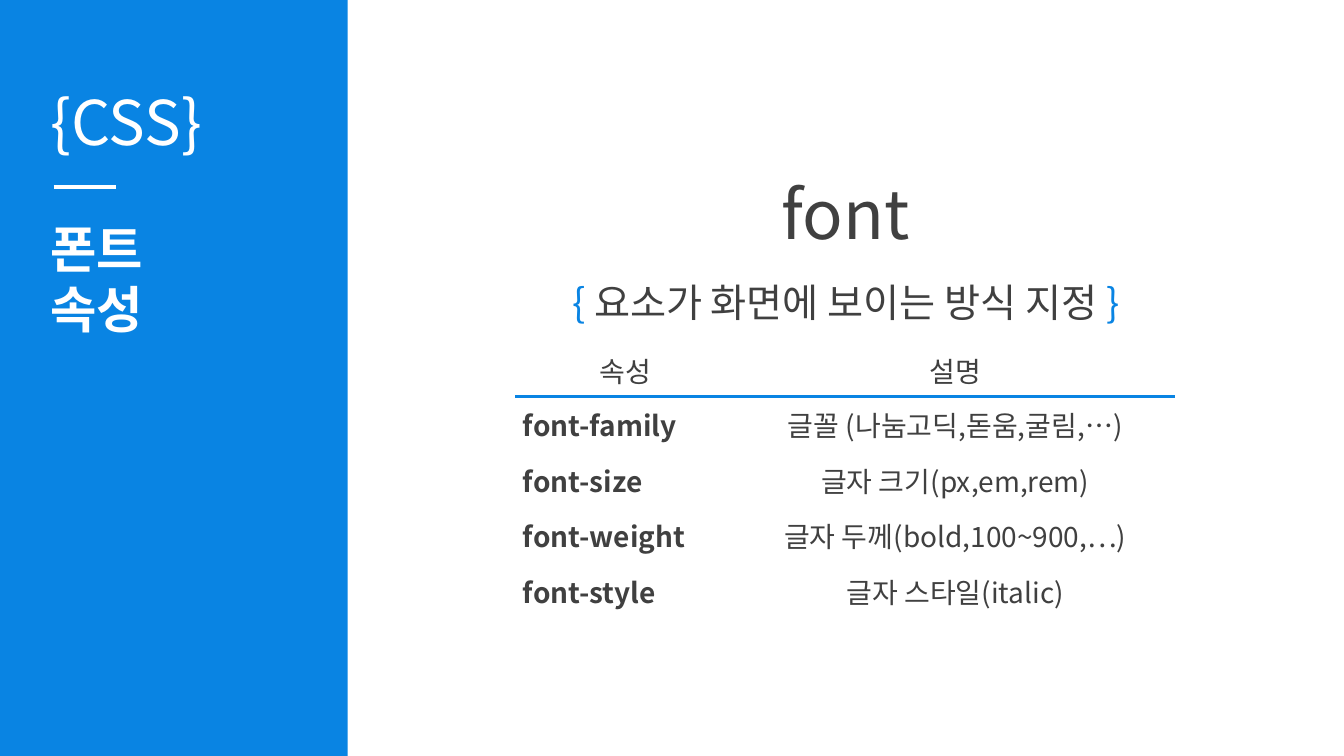
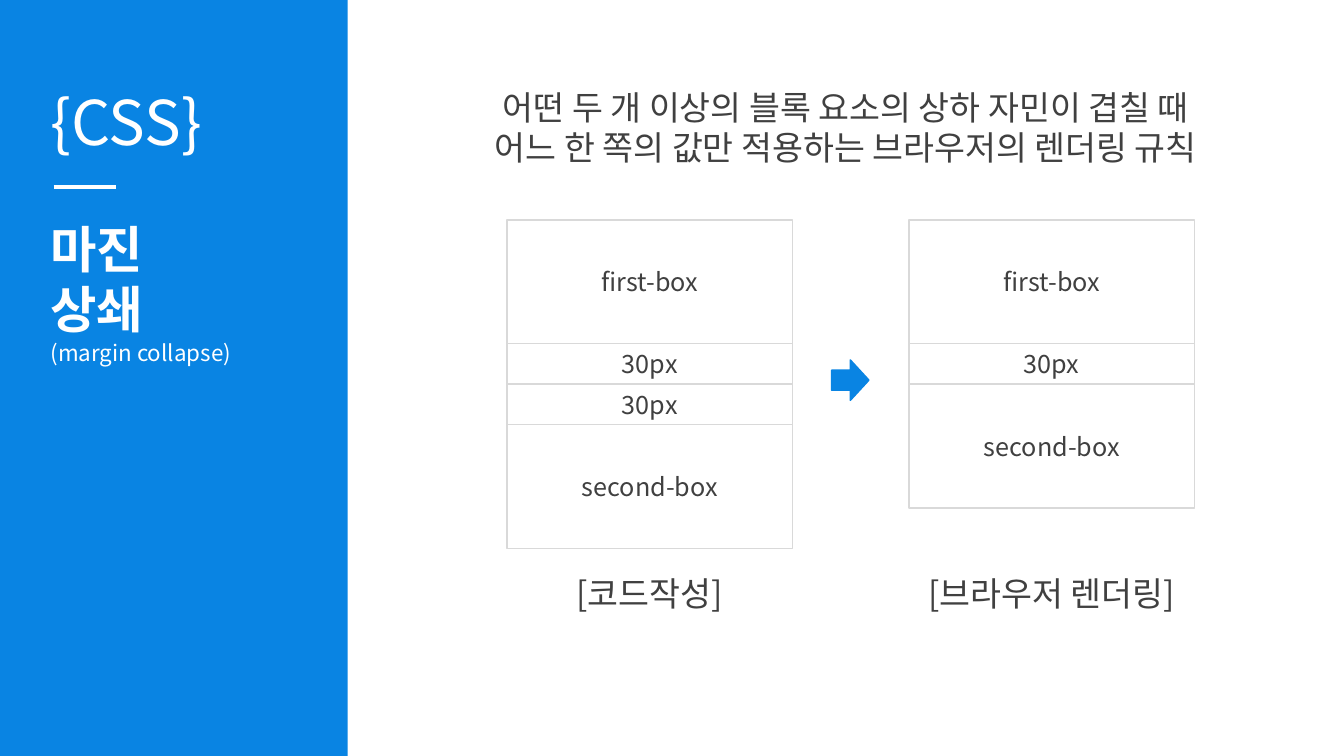
"""Build two CSS lesson slides on font properties and margin collapse."""
from lxml.etree import SubElement as Sub
from pptx import Presentation
from pptx.dml.color import RGBColor as Rgb
from pptx.enum.shapes import MSO_CONNECTOR as Link, MSO_SHAPE as Form
from pptx.enum.text import MSO_ANCHOR as Anchor, MSO_AUTO_SIZE as Auto, PP_ALIGN as Align
from pptx.oxml import parse_xml
from pptx.oxml.ns import nsdecls, qn
from pptx.util import Cm, Pt

HUES = {"blue": "0984E3", "white": "FFFFFF", "dark": "404040", "grey": "D9D9D9"}
FACE = "Noto Sans CJK KR"
WIDE, HIGH, BAND = 33.87, 19.05, 8.76
PLAIN = "{2D5ABB26-0587-4C30-8999-92F81FD0307C}"


def hue(name):
    return Rgb.from_string(HUES[name])


class Deck:
    def __init__(self):
        self.file = Presentation()
        self.file.slide_width, self.file.slide_height = Cm(WIDE), Cm(HIGH)
        self.slide = None

    def page(self, lines, note=None):
        self.slide = self.file.slides.add_slide(self.file.slide_layouts[5])
        self.block((0, 0, BAND, HIGH), fill="blue")
        self.rule(1.35, 2.92, 4.72)
        self.text((1.02, 1.98, 4.7, 2.13), ["{CSS}"], 44, "white", Align.LEFT)
        title = self.slide.shapes.title
        title.left, title.top, title.width, title.height = map(Cm, (1.02, 5.36, 7, 4.2))
        title.element.getparent().append(title.element)
        frame = title.text_frame
        self.fill(frame, lines + ([note] if note else []), 36, "white", Align.LEFT, True)
        frame.vertical_anchor = Anchor.TOP
        if note:
            font = frame.paragraphs[-1].font
            font.size, font.bold = Pt(16), False

    def style(self, par, size, tone, align, bold=False):
        par.alignment = align
        font = par.font
        font.size, font.name, font.bold = Pt(size), FACE, bold
        font.color.rgb = hue(tone)
        Sub(par._p.pPr.find(qn("a:defRPr")), qn("a:ea"), typeface=FACE)

    def fill(self, frame, lines, size, tone, align=Align.CENTER, bold=False):
        frame.word_wrap = True
        frame.auto_size = Auto.NONE
        for i, line in enumerate(lines):
            par = frame.add_paragraph() if i else frame.paragraphs[0]
            for part, tint in [(line, None)] if isinstance(line, str) else line:
                run = par.add_run()
                run.text = part
                if tint:
                    run.font.color.rgb = hue(tint)
            self.style(par, size, tone, align, bold)

    def text(self, area, lines, size, tone="dark", align=Align.CENTER):
        box = self.slide.shapes.add_textbox(*map(Cm, area))
        self.fill(box.text_frame, lines, size, tone, align)

    def block(self, area, form=Form.RECTANGLE, fill=None, line=None, label=None):
        shape = self.slide.shapes.add_shape(form, *map(Cm, area))
        shape.shadow.inherit = False
        if fill:
            shape.fill.solid()
            shape.fill.fore_color.rgb = hue(fill)
        else:
            shape.fill.background()
        if line:
            shape.line.color.rgb = hue(line)
            shape.line.width = Pt(1)
        else:
            shape.line.fill.background()
        if label:
            self.fill(shape.text_frame, [label], 18, "dark")
            shape.text_frame.vertical_anchor = Anchor.MIDDLE

    def rule(self, left, right, top):
        line = self.slide.shapes.add_connector(Link.STRAIGHT, Cm(left), Cm(top), Cm(right), Cm(top))
        line.line.color.rgb = hue("white")
        line.line.width = Pt(3)
        Sub(line.element.spPr, qn("a:effectLst"))

    def table(self, left, top, cols, rows, data):
        frame = self.slide.shapes.add_table(
            len(rows), len(cols), Cm(left), Cm(top), Cm(sum(cols)), Cm(sum(rows)))
        grid = frame.table
        grid.first_row = grid.horz_banding = False
        grid._tbl.tblPr.find(qn("a:tableStyleId")).text = PLAIN
        for col, size in zip(grid.columns, cols):
            col.width = Cm(size)
        for row, size in zip(grid.rows, rows):
            row.height = Cm(size)
        for r, line in enumerate(data):
            for c, word in enumerate(line):
                self.cell(grid.cell(r, c), word, r == 0, r > 0 and c == 0)

    def cell(self, cell, word, head, key):
        cell.fill.background()
        cell.vertical_anchor = Anchor.MIDDLE
        cell.margin_left = cell.margin_right = Cm(0.2)
        cell.margin_top = cell.margin_bottom = Cm(0.1)
        par = cell.text_frame.paragraphs[0]
        par.add_run().text = word
        self.style(par, 20, "dark", Align.LEFT if key else Align.CENTER, key)
        if head:
            cell._tc.tcPr.insert(0, parse_xml(
                f'<a:lnB {nsdecls("a")} w="{Pt(3)}"><a:solidFill>'
                f'<a:srgbClr val="{HUES["blue"]}"/></a:solidFill></a:lnB>'))

    def stack(self, left, top, labels, title):
        width, edge = 7.19, 0.3
        for label in labels:
            step = 1.02 if label.endswith("px") else 3.12
            self.block((left, top, width, step), line="grey", label=label)
            top += step
        self.text((left - edge, 14.3, width + 2 * edge, 1.27), [title], 24)


def main():
    deck = Deck()
    main_x, main_w = BAND, WIDE - BAND

    deck.page(["폰트", "속성"])
    deck.text((main_x, 4.22, main_w, 2.31), ["font"], 48)
    deck.text((main_x, 6.88, main_w, 1.45), [
        [("{ ", "blue"), ("요소가 화면에 보이는 방식 지정 ", "dark"), ("}", "blue")]], 28)
    deck.table(12.98, 8.69, [5.56, 11.07], [1.3] + [1.4] * 4, [
        ("속성", "설명"),
        ("font-family", "글꼴 (나눔고딕,돋움,굴림,…)"),
        ("font-size", "글자 크기(px,em,rem)"),
        ("font-weight", "글자 두께(bold,100~900,…)"),
        ("font-style", "글자 스타일(italic)"),
    ])

    deck.page(["마진", "상쇄"], "(margin collapse)")
    deck.text((main_x, 2.06, main_w, 2.31), [
        "어떤 두 개 이상의 블록 요소의 상하 자민이 겹칠 때",
        "어느 한 쪽의 값만 적용하는 브라우저의 렌더링 규칙"], 24)
    deck.stack(12.78, 5.54, ["first-box", "30px", "30px", "second-box"], "[코드작성]")
    deck.stack(22.91, 5.54, ["first-box", "30px", "second-box"], "[브라우저 렌더링]")
    deck.block((20.96, 9.07, 0.94, 1.02), Form.RIGHT_ARROW, "blue", "blue")

    deck.file.save("out.pptx")


if __name__ == "__main__":
    main()
